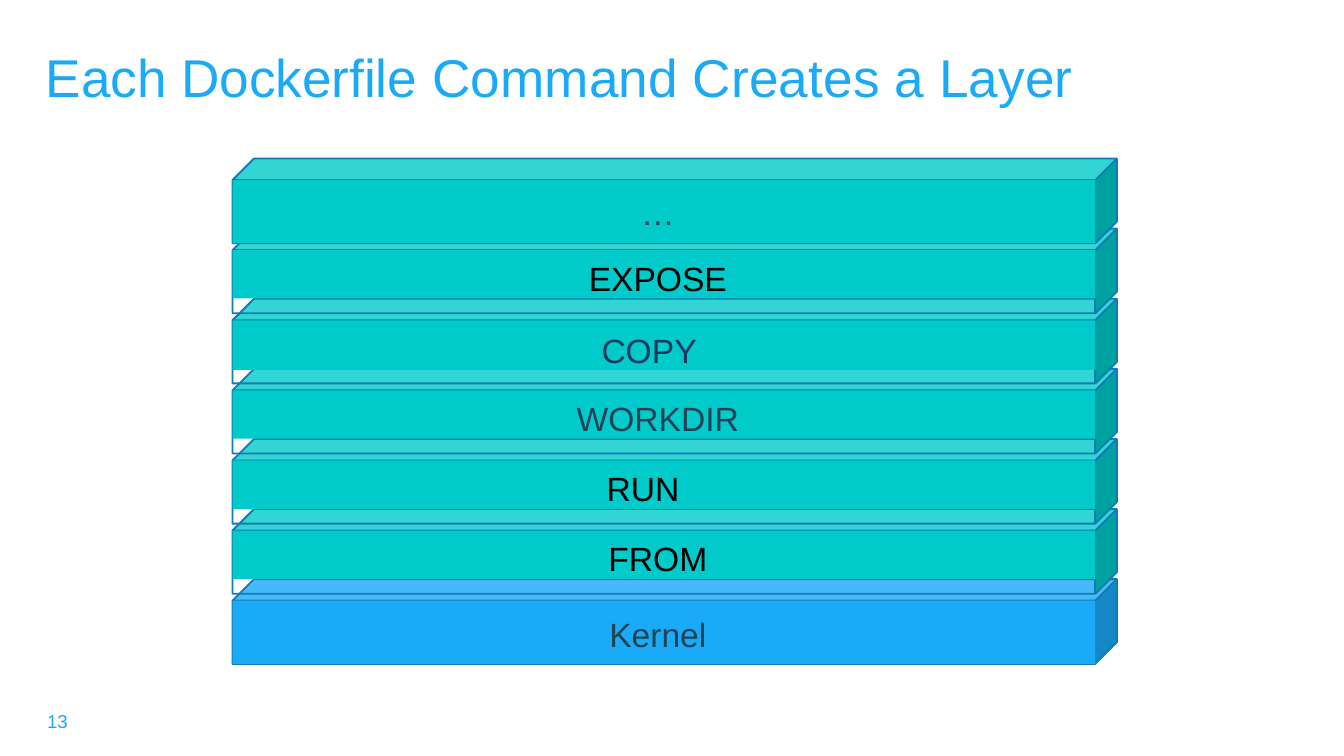
from lxml.etree import SubElement
from pptx import Presentation
from pptx.dml.color import RGBColor
from pptx.enum.shapes import MSO_CONNECTOR, MSO_SHAPE
from pptx.enum.text import MSO_ANCHOR, MSO_AUTO_SIZE, PP_ALIGN
from pptx.oxml.ns import qn
from pptx.util import Inches, Pt

COLORS = {
    "blue": "1AAAF7", "blue_top": "46BAF9", "blue_side": "1487C6",
    "teal": "00CACA", "teal_top": "33D4D4", "teal_side": "00A1A1",
    "edge": "117CB3", "slate": "244256", "navy": "17375E", "black": "000000",
}
LEFT, RIGHT = 1.73, 8.15
DEPTH = 0.16
FRONT_HEIGHT = 0.47
FIRST_TOP, LAST_TOP = 1.18, 4.31

LAYERS = [
    ("…", "teal", "slate", 0.47, 6.6, 0.09),
    ("EXPOSE", "teal", "black", 0.36, 3.9, 0.09),
    ("COPY", "teal", "navy", 0.37, 5, 0.22),
    ("WORKDIR", "teal", "slate", 0.36, 4, 0.09),
    ("RUN", "teal", "black", 0.36, 3.8, 0.31),
    ("FROM", "teal", "black", 0.36, 4, 0.09),
    ("Kernel", "blue", "slate", 0.47, 7.3, 0.09),
]


def color(name):
    return RGBColor.from_string(COLORS[name])


def write(shape, texts, size, color_name, align=PP_ALIGN.LEFT, above=0, insets=(0, 0, 0)):
    frame = shape.text_frame
    frame.word_wrap = True
    frame.auto_size = MSO_AUTO_SIZE.NONE
    frame.vertical_anchor = MSO_ANCHOR.TOP
    frame.margin_left, frame.margin_top, frame.margin_right = map(Inches, insets)
    frame.margin_bottom = 0
    para = frame.paragraphs[0]
    para.alignment = align
    para.space_before = Pt(above)
    for text in texts:
        span = para.add_run()
        span.text = text
        span.font.name = "Arial"
        span.font.size = Pt(size)
        span.font.color.rgb = color(color_name)


def add_outline(page, points, fill=None, closed=True):
    corners = [(Inches(x), Inches(y)) for x, y in points]
    builder = page.shapes.build_freeform(*corners[0])
    builder.add_line_segments(corners[1:], close=closed)
    shape = builder.convert_to_shape()
    shape.shadow.inherit = False
    if fill:
        shape.fill.solid()
        shape.fill.fore_color.rgb = color(fill)
        shape.line.fill.background()
    else:
        shape.fill.background()
        shape.line.color.rgb = color("edge")
        shape.line.width = Pt(1)


def add_edge(page, x, top, bottom):
    edge = page.shapes.add_connector(
        MSO_CONNECTOR.STRAIGHT, Inches(x), Inches(top), Inches(x), Inches(bottom))
    edge.line.color.rgb = color("edge")
    edge.line.width = Pt(1)
    SubElement(edge._element.spPr, qn("a:effectLst"))


def add_slab(page, top, palette):
    front = top + DEPTH
    bottom = front + FRONT_HEIGHT
    front_left, front_right = (LEFT, front), (RIGHT, front)
    back_left, back_right = (LEFT + DEPTH, top), (RIGHT + DEPTH, top)
    low_left, low_right = (LEFT, bottom), (RIGHT, bottom)
    low_back = (RIGHT + DEPTH, bottom - DEPTH)
    add_outline(page, [low_right, front_right, back_right, low_back], palette + "_side")
    add_outline(page, [front_right, front_left, back_left, back_right], palette + "_top")
    add_outline(page, [front_left, back_left, back_right, low_back, low_right, low_left])
    add_outline(page, [front_left, front_right, back_right], closed=False)
    add_edge(page, RIGHT, front, bottom)


def add_face(page, top, name, palette, text_color, height, above, right_inset):
    face = page.shapes.add_shape(
        MSO_SHAPE.RECTANGLE, Inches(LEFT), Inches(top + DEPTH),
        Inches(RIGHT - LEFT), Inches(height))
    face.shadow.inherit = False
    face.fill.solid()
    face.fill.fore_color.rgb = color(palette)
    face.line.fill.background()
    write(face, [name], 18, text_color, PP_ALIGN.CENTER, above,
          (0, above / 72, right_inset))


def add_title(page):
    title = page.shapes.title
    title.left, title.top = Inches(0.33), Inches(0.31)
    title.width, title.height = Inches(7.73), Inches(0.51)
    write(title, ["Each Dockerfile ", "Command Creates a Layer"], 28.5, "blue",
          above=1.3, insets=(0.01, 0.02, 0))
    title.text_frame.paragraphs[0].runs[1].font._element.set("spc", "10")


def add_page_number(page):
    box = page.shapes.add_textbox(Inches(0.32), Inches(5.28), Inches(0.21), Inches(0.18))
    write(box, ["13"], 10, "blue", insets=(0.03, 0, 0))


def main():
    deck = Presentation()
    deck.slide_width = Inches(10)
    deck.slide_height = deck.slide_width * 9 // 16
    page = deck.slides.add_slide(deck.slide_layouts[5])
    add_title(page)
    step = (LAST_TOP - FIRST_TOP) / (len(LAYERS) - 1)
    stack = [(FIRST_TOP + index * step, layer) for index, layer in enumerate(LAYERS)]
    stack.reverse()
    for top, layer in stack:
        add_slab(page, top, layer[1])
    for top, layer in stack:
        add_face(page, top, *layer)
    add_page_number(page)
    deck.save("out.pptx")


if __name__ == "__main__":
    main()
